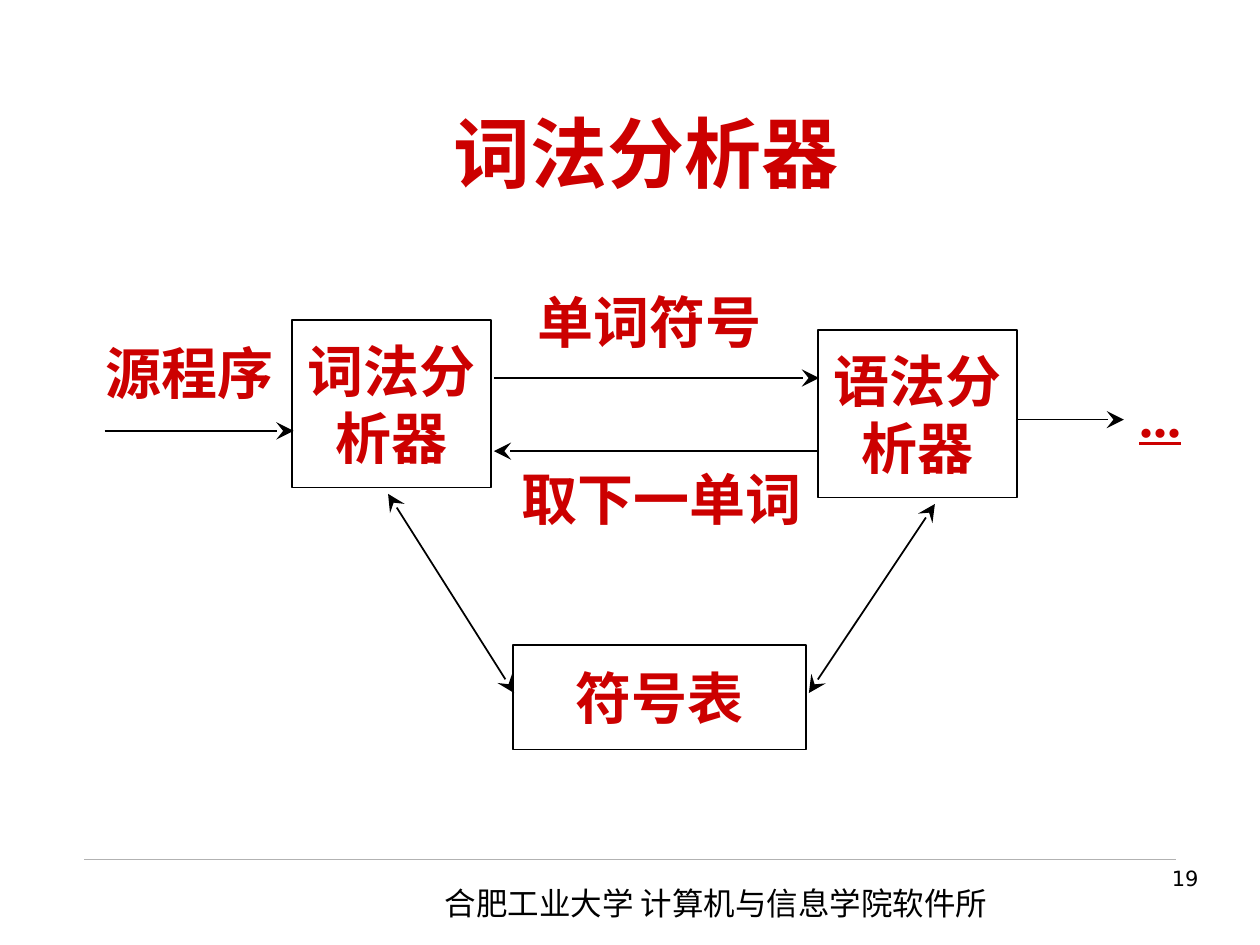
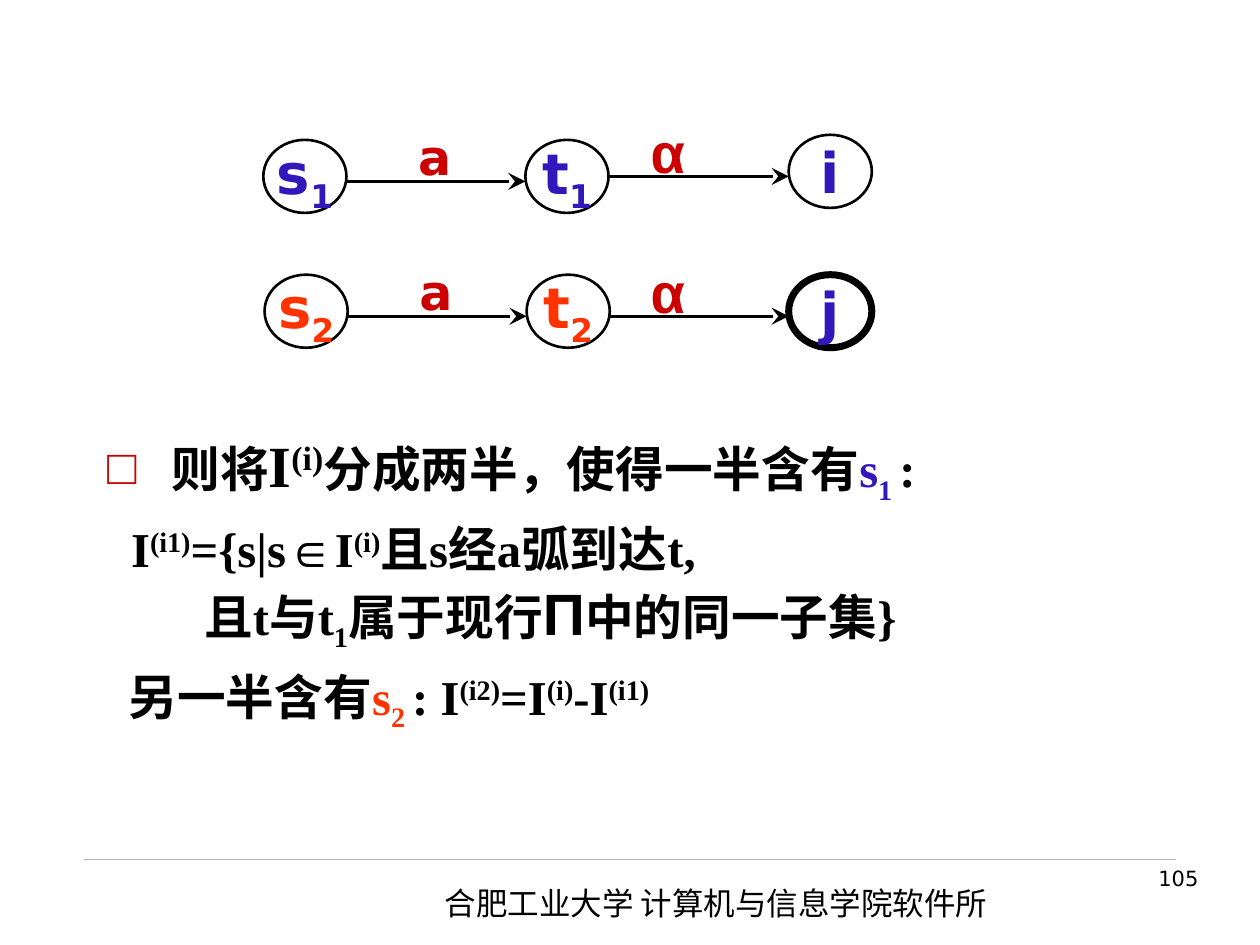
import pptx
import pptx.dml.color
import pptx.enum.shapes
import pptx.enum.text
import pptx.oxml.ns
import pptx.util
from dataclasses import dataclass
from lxml import etree

Inches = pptx.util.Inches
Pt = pptx.util.Pt
qn = pptx.oxml.ns.qn
SHAPE = pptx.enum.shapes.MSO_SHAPE
ALIGN = pptx.enum.text.PP_ALIGN
MIDDLE = pptx.enum.text.MSO_ANCHOR.MIDDLE


@dataclass(frozen=True)
class Theme:
    red: str = "CC0000"
    black: str = "000000"
    blue: str = "3217BB"
    orange: str = "FF3300"
    rule: str = "B2B2B2"
    cjk: str = "Noto Sans CJK SC"
    serif: str = "Times New Roman"
    sans: str = "DejaVu Sans"
    math: str = "Arial"
    title: float = 44
    label: float = 32
    arc: float = 28
    body: float = 27.8
    body_large: float = 33.3
    footer: float = 18
    page: float = 12


theme = Theme()


def write(paragraph, pieces, font, size, color, bold=True, align=None):
    """Add (text, overrides) pieces as runs; overrides may set font, size, color, base, underline."""
    paragraph.alignment = align
    for text, changes in pieces:
        run = paragraph.add_run()
        run.text = text
        run.font.name = changes.get("font", font)
        run.font.size = Pt(changes.get("size", size))
        run.font.bold = bold
        run.font.color.rgb = pptx.dml.color.RGBColor.from_string(changes.get("color", color))
        if "underline" in changes:
            run.font.underline = True
        if "base" in changes:
            run.font._element.set("baseline", str(changes["base"] * 1000))


def add_line(slide, start, end, width, color=theme.black, arrows=("tailEnd",)):
    line = slide.shapes.add_connector(
        pptx.enum.shapes.MSO_CONNECTOR.STRAIGHT, *map(Inches, start + end))
    line.line.width = Pt(width)
    line.line.color.rgb = pptx.dml.color.RGBColor.from_string(color)
    outline = line.line._get_or_add_ln()
    for arrow in arrows:
        etree.SubElement(outline, qn("a:" + arrow), type="stealth", w="lg", len="lg")
    etree.SubElement(line._element.spPr, qn("a:effectLst"))


deck = pptx.Presentation()
deck.slide_width, deck.slide_height = Inches(10), Inches(7.5)
lexer_slide = deck.slides.add_slide(deck.slide_layouts[5])
split_slide = deck.slides.add_slide(deck.slide_layouts[1])

# Footer band
for slide, page in ((lexer_slide, "19"), (split_slide, "105")):
    add_line(slide, (0.67, 6.82), (9.33, 6.82), 0.25, theme.rule, arrows=())
    for at, text, font, size, align in (
        ((3.43, 6.97, 4.72, 0.4), "合肥工业大学 计算机与信息学院软件所",
         theme.cjk, theme.footer, ALIGN.LEFT),
        ((7.44, 6.82, 2.17, 0.52), page, theme.sans, theme.page, ALIGN.RIGHT),
    ):
        frame = slide.shapes.add_textbox(*map(Inches, at)).text_frame
        frame.word_wrap = True
        write(frame.paragraphs[0], [(text, {})], font, size, theme.black, False, align)

# Slide 1: title and data flow
title = lexer_slide.shapes.title
title.left, title.top, title.width, title.height = map(Inches, (0.75, 0.58, 8.75, 1.25))
title.text_frame.vertical_anchor = MIDDLE
write(title.text_frame.paragraphs[0], [("词法分析器", {})],
      theme.cjk, theme.title, theme.red, align=ALIGN.CENTER)

# Each label: slide, preset shape or None, outline width, place, paragraphs, font, size, colour
flow_style = (theme.serif, theme.label, theme.red)
labels = [
    (lexer_slide, SHAPE.RECTANGLE, 1, at, [[(line, {})] for line in lines], *flow_style)
    for at, lines in (
        ((2.32, 2.54, 1.58, 1.33), ("词法分", "析器")),
        ((6.49, 2.62, 1.58, 1.33), ("语法分", "析器")),
        ((4.07, 5.12, 2.33, 0.83), ("符号表",)),
    )
]
labels += [
    (lexer_slide, None, 0, at, [[(text, changes)]], *flow_style)
    for at, text, changes in (
        ((0.67, 2.58, 1.67, 0.75), "源程序", {}),
        ((4.06, 2.17, 2.2, 0.75), "单词符号", {}),
        ((4, 3.58, 2.5, 0.75), "取下一单词", {}),
        ((8.75, 2.92, 0.92, 0.75), "...", {"underline": True}),
    )
]
both_ends = ("headEnd", "tailEnd")
for start, end, arrows in (
    ((0.83, 3.42), (2.33, 3.42), ("tailEnd",)),
    ((3.92, 3), (6.5, 3), ("tailEnd",)),
    ((6.5, 3.58), (3.92, 3.58), ("tailEnd",)),
    ((3.08, 3.92), (4.08, 5.5), both_ends),
    ((7.42, 4), (6.42, 5.5), both_ends),
    ((8.08, 3.33), (8.92, 3.33), ("tailEnd",)),
):
    add_line(lexer_slide, start, end, 1, arrows=arrows)

# Slide 2: two rows of states, joined by arcs a and α
state_w, state_h, step = 0.66, 0.58, 2.08
for left, top, end_top, alpha_top, index, color, final, final_width in (
    (2.09, 1.11, 1.07, 0.91, "1", theme.blue, "i", 1.5),
    (2.1, 2.18, 2.18, 2.02, "2", theme.orange, "j", 4),
):
    for column, letter in enumerate("st"):
        labels.append((split_slide, SHAPE.OVAL, 1.5,
                       (left + column * step, top, state_w, state_h),
                       [[(letter, {}), (index, {"base": -25})]],
                       theme.sans, theme.label, color))
    labels += [
        (split_slide, SHAPE.OVAL, final_width, (6.26, end_top, state_w, state_h),
         [[(final, {})]], theme.sans, theme.label, theme.blue),
        (split_slide, None, 0, (left + 0.9, top - 0.16, 0.92, 0.58),
         [[("a", {})]], theme.sans, theme.arc, theme.red),
        (split_slide, None, 0, (4.84, alpha_top, 0.92, 0.58),
         [[("α", {})]], theme.math, theme.label, theme.red),
    ]
    arc_y, final_y = top + 0.33, end_top + 0.33
    add_line(split_slide, (left + state_w, arc_y), (left + step, arc_y), 1.5)
    add_line(split_slide, (4.84, final_y), (6.26, final_y), 1.5)

for slide, preset, outline, at, paragraphs, font, size, color in labels:
    place = map(Inches, at)
    if preset is None:
        box = slide.shapes.add_textbox(*place)
    else:
        box = slide.shapes.add_shape(preset, *place)
        box.shadow.inherit = False
        box.fill.background()
        box.line.width = Pt(outline)
        box.line.color.rgb = pptx.dml.color.RGBColor.from_string(theme.black)
    frame = box.text_frame
    frame.word_wrap = False
    frame.vertical_anchor = MIDDLE
    for number, pieces in enumerate(paragraphs):
        paragraph = frame.add_paragraph() if number else frame.paragraphs[0]
        write(paragraph, pieces, font, size, color, align=ALIGN.CENTER)

# Slide 2: rule for splitting the subset
heading = split_slide.shapes.title
heading._element.getparent().remove(heading._element)
body = split_slide.placeholders[1]
body.left, body.top, body.width, body.height = map(Inches, (0.75, 3.36, 8.75, 2.69))
body.text_frame.auto_size = pptx.enum.text.MSO_AUTO_SIZE.NONE

sup, sub = {"base": 30}, {"base": -25}
large = {"size": theme.body_large}
# Each paragraph: left margin, first-line indent, space before, pieces
rules = (
    (0.51, -0.51, 0, [
        ("则将", {}), ("I", large), ("(i)", {**large, **sup}), ("分成两半，使得一半含有", {}),
        ("s", {"color": theme.blue}), ("1 ", {"color": theme.blue, **sub}), (":", {})]),
    (0.19, 0, 7.5, [
        ("I", {}), ("(i1)", sup), ("={s|s", {}), ("∈", {"font": theme.math}),
        ("I", {}), ("(i)", sup), ("且s经a弧到达t,", {})]),
    (0.77, 0, 0, [
        ("且t与t", {}), ("1", sub), ("属于现行", {}),
        ("Π", {"font": theme.math, **large}), ("中的同一子集}", {})]),
    (0.17, 0, 7.5, [
        ("另一半含有", {}), ("s", {"color": theme.orange}),
        ("2 ", {"color": theme.orange, **sub}), (": I", {}), ("(i2)", sup),
        ("=I", {}), ("(i)", sup), ("-I", {}), ("(i1)", sup)]),
)
for number, (margin, indent, space, pieces) in enumerate(rules):
    paragraph = body.text_frame.add_paragraph() if number else body.text_frame.paragraphs[0]
    properties = paragraph._p.get_or_add_pPr()
    properties.set("marL", str(Inches(margin)))
    properties.set("indent", str(Inches(indent)))
    if number:
        etree.SubElement(properties, qn("a:buNone"))
    else:
        bullet_color = etree.SubElement(properties, qn("a:buClr"))
        etree.SubElement(bullet_color, qn("a:srgbClr"), val=theme.red)
        etree.SubElement(properties, qn("a:buChar"), char="□")
    paragraph.space_before = Pt(space)
    write(paragraph, pieces, theme.serif, theme.body, theme.black)

deck.save("out.pptx")
